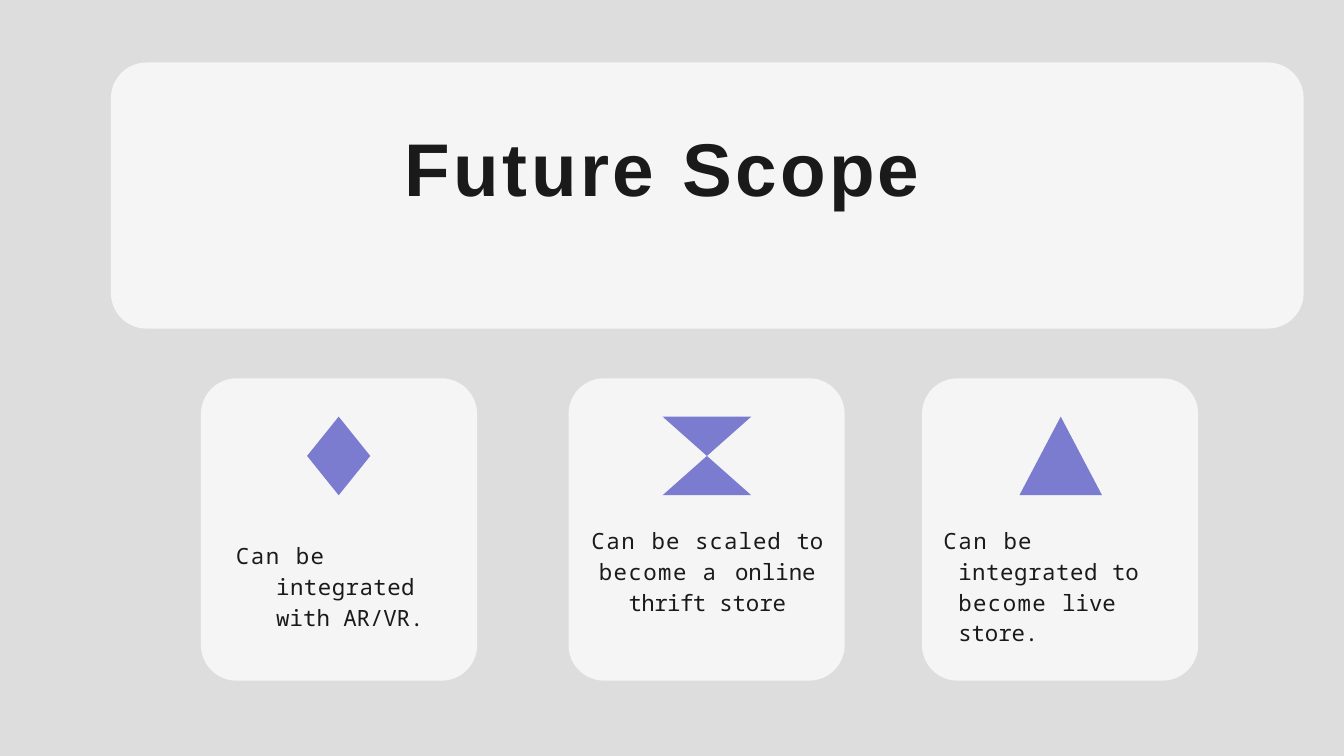
import pptx
import pptx.dml.color
import pptx.enum.shapes
import pptx.enum.text
import pptx.util

WIDE, HIGH = 20, 11.25
BACK, CARD, ICON, INK = "DDDDDD", "F5F5F5", "7B7CD0", "1A1A1A"
KIND = pptx.enum.shapes.MSO_SHAPE
SIDE = pptx.enum.text.PP_ALIGN
CARDS = [
    (14.95, KIND.DIAMOND, (22.85, 4.7), (17.5, 71.11, 15.45, 8.36),
     "Can be integrated with AR/VR.", [1.7, 1.2, 0.5, 0, -0.1],
     SIDE.LEFT, (0.61, -0.6)),
    (42.3, KIND.FLOWCHART_COLLATE, (49.3, 6.6), (43.35, 69.07, 18.5, 12.44),
     "Can be scaled to become a online thrift store",
     [1.7, 1.2, 1.1, -0.2, 1.5, 2.9, 0, -0.6, -0.1],
     SIDE.CENTER, (0.01, 0)),
    (68.6, KIND.ISOSCELES_TRIANGLE, (75.85, 6.15), (70.15, 69.07, 17.55, 8.36),
     "Can be integrated to become live store.",
     [1.7, 1.2, 0.6, -0.2, 1.5, 0, -0.1],
     SIDE.LEFT, (0.23, -0.22)),
]


def color(code):
    return pptx.dml.color.RGBColor.from_string(code)


def place(x, y, w, h):
    return [pptx.util.Inches(part * size / 100)
            for part, size in ((x, WIDE), (y, HIGH), (w, WIDE), (h, HIGH))]


def paint(fill, code):
    fill.solid()
    fill.fore_color.rgb = color(code)


def draw(slide, kind, box, code):
    shape = slide.shapes.add_shape(kind, *place(*box))
    shape.shadow.inherit = False
    paint(shape.fill, code)
    shape.line.fill.background()
    return shape


def panel(slide, box):
    shape = draw(slide, KIND.ROUNDED_RECTANGLE, box, CARD)
    radius = pptx.util.Inches(0.53)
    shape.adjustments[0] = radius / min(shape.width, shape.height)


def write(shape, text, gaps, face, size, side, indent):
    frame = shape.text_frame
    frame.word_wrap = True
    frame.auto_size = pptx.enum.text.MSO_AUTO_SIZE.SHAPE_TO_FIT_TEXT
    frame.vertical_anchor = pptx.enum.text.MSO_ANCHOR.TOP
    frame.margin_left = frame.margin_right = frame.margin_bottom = 0
    frame.margin_top = pptx.util.Inches(0.01)
    para = frame.paragraphs[0]
    para.alignment = side
    para.space_before = pptx.util.Pt(1)
    para.font.name = face
    para.font.size = pptx.util.Pt(size)
    para.font.color.rgb = color(INK)
    for name, value in zip(("marL", "indent"), indent):
        para._p.get_or_add_pPr().set(name, str(pptx.util.Inches(value)))
    words = text.split()
    for spot, (word, gap) in enumerate(zip(words, gaps), 1):
        run = para.add_run()
        run.text = word + " " * (spot < len(words))
        run._r.get_or_add_rPr().set("spc", str(round(gap * 100)))
    return para


def head(slide):
    title = slide.shapes.title
    title.element.getparent().append(title.element)
    title.left, title.top, title.width, title.height = place(
        30.05, 16, 38.5, 12.09)
    para = write(title, "Future Scope", [3.8, 3.5], "Arial", 80,
                 SIDE.LEFT, (0.01, 0))
    para.font.bold = True


def note(slide, box, text, gaps, side, indent):
    shape = slide.shapes.add_textbox(*place(*box))
    para = write(shape, text, gaps, "Noto Sans Mono", 24, side, indent)
    para.line_spacing = 1.15


def main():
    deck = pptx.Presentation()
    deck.slide_width = pptx.util.Inches(WIDE)
    deck.slide_height = pptx.util.Inches(HIGH)
    slide = deck.slides.add_slide(deck.slide_layouts[5])
    paint(slide.background.fill, BACK)
    panel(slide, (8.25, 8.27, 88.75, 35.2))
    head(slide)
    for left, kind, (x, w), box, text, gaps, side, indent in CARDS:
        panel(slide, (left, 50.04, 20.55, 40))
        draw(slide, kind, (x, 55.11, w, 10.4), ICON)
        note(slide, box, text, gaps, side, indent)
    deck.save("out.pptx")


if __name__ == "__main__":
    main()
